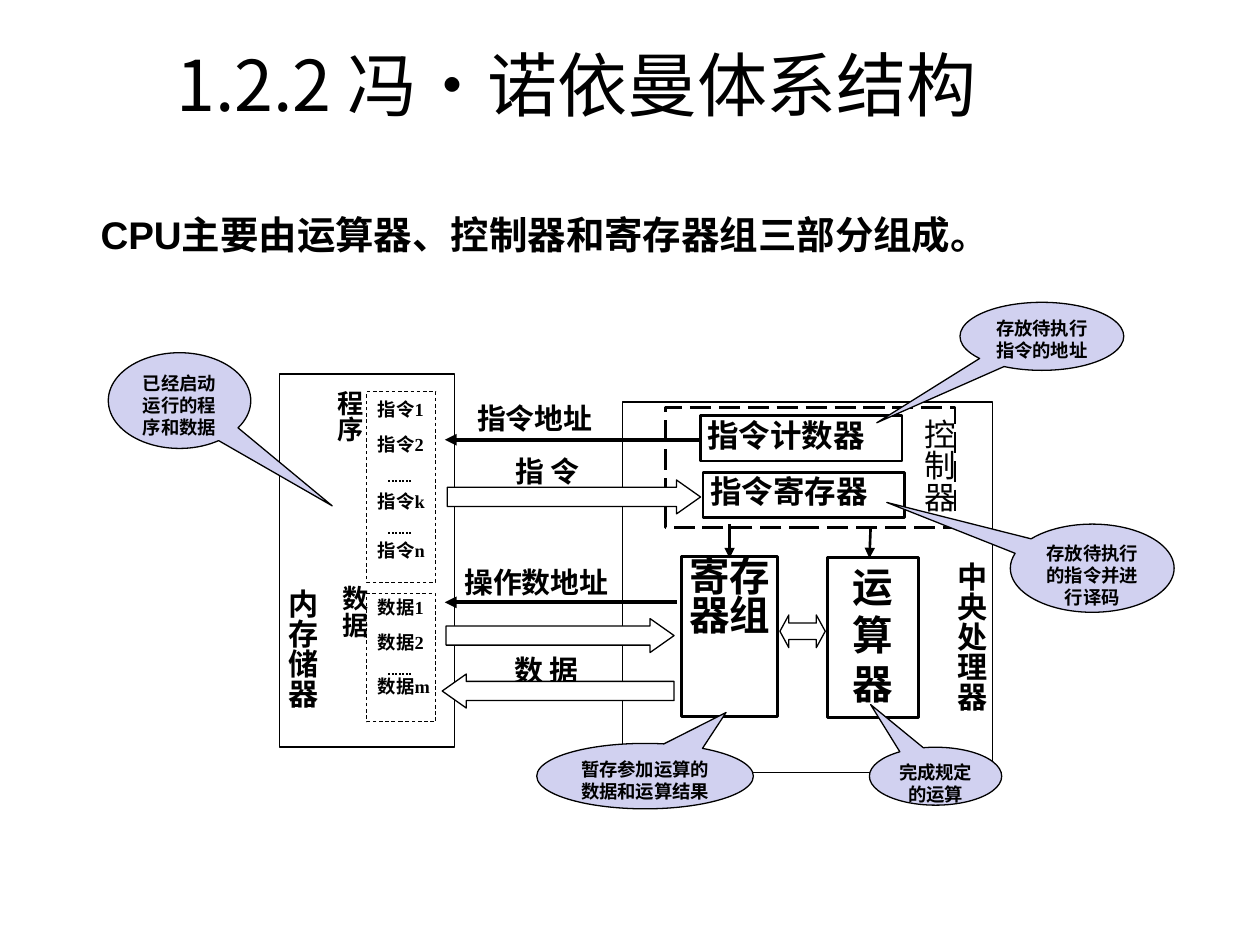
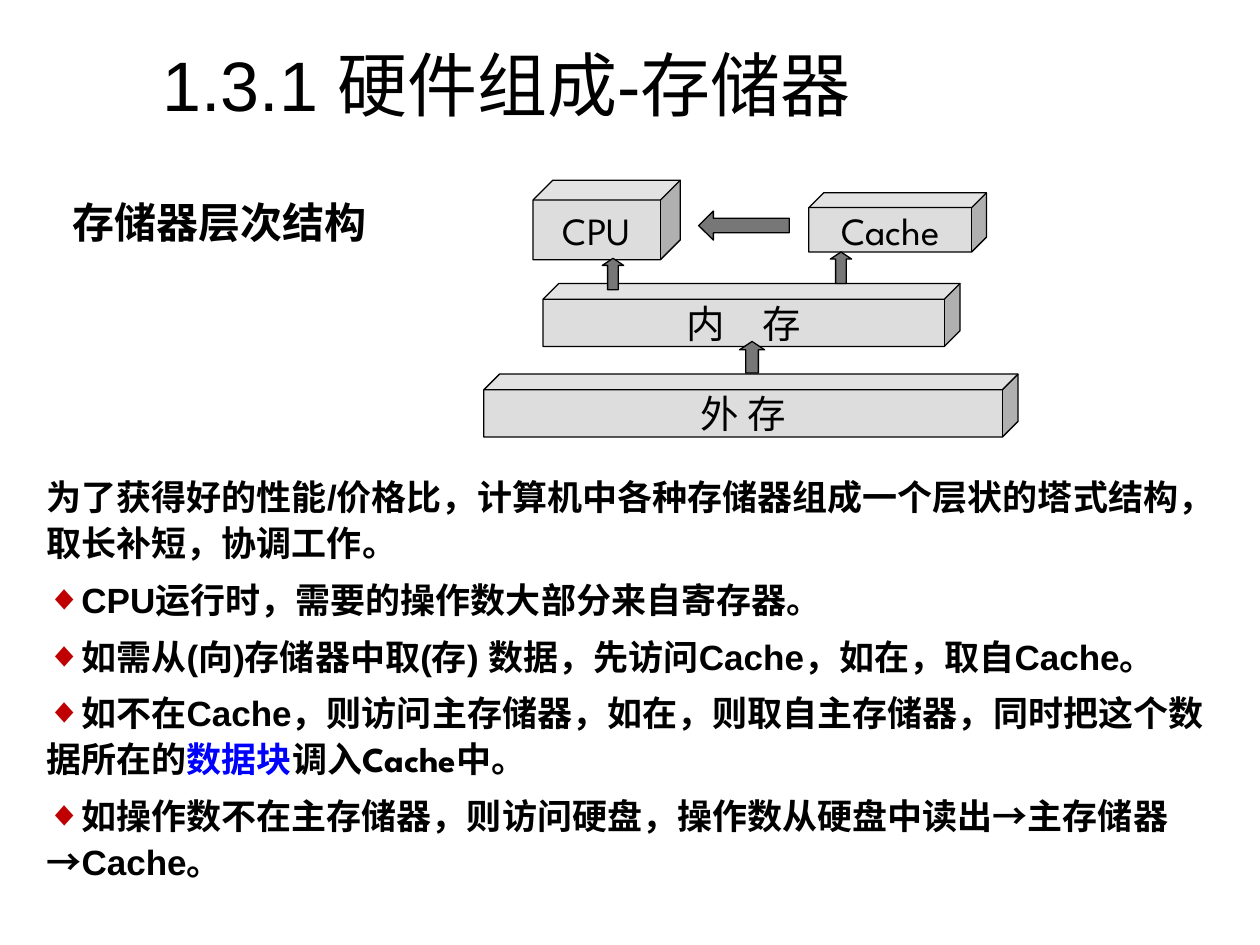
import pptx
import pptx.dml.color
import pptx.enum.dml
import pptx.enum.shapes
import pptx.enum.text
import pptx.oxml.ns
import pptx.util
from lxml import etree

Pt = pptx.util.Pt
SHAPE = pptx.enum.shapes.MSO_SHAPE
DASH = pptx.enum.dml.MSO_LINE
ALIGN = pptx.enum.text.PP_ALIGN
ANCHOR = pptx.enum.text.MSO_ANCHOR
qn = pptx.oxml.ns.qn

BLACK, WHITE, BLUE = "000000", "FFFFFF", "0000FF"
CALLOUT, CUBE, ARROW, BULLET = "D1D1F0", "DDDDDD", "777777", "C00000"
ARIAL, TIMES, SPARTAN, CJK = "Arial", "Times New Roman", "League Spartan", "Noto Sans CJK SC"
BLOCK_ARROW = (0.565, 0.709)


def rgb(color):
    return pptx.dml.color.RGBColor.from_string(color)


def add_run(p, text, size, font=TIMES, bold=True, color=BLACK):
    r = p.add_run()
    r.text = text
    r.font.size = Pt(size)
    r.font.bold = bold
    r.font.color.rgb = rgb(color)
    r.font.name = font
    etree.SubElement(r.font._element, qn("a:ea")).set("typeface", CJK)


def set_frame(tf, margins=(4, 2.2), anchor=ANCHOR.TOP, wrap=True):
    """Set the (side, top and bottom) margins, anchor and wrapping."""
    tf.auto_size = pptx.enum.text.MSO_AUTO_SIZE.NONE
    tf.word_wrap = wrap
    tf.vertical_anchor = anchor
    tf.margin_left = tf.margin_right = Pt(margins[0])
    tf.margin_top = tf.margin_bottom = Pt(margins[1])


def place(sp, box):
    sp.left, sp.top, sp.width, sp.height = [Pt(v) for v in box]


def add_title(slide, text, box, font, align, anchor):
    sp = slide.shapes.title
    place(sp, box)
    set_frame(sp.text_frame, (7.2, 3.6), anchor)
    p = sp.text_frame.paragraphs[0]
    p.alignment = align
    add_run(p, text, 40, font, False)


def add_label(slide, text, box, size, font=TIMES, bold=True, align=ALIGN.LEFT,
              spacing=1.0, vertical=False, margins=(4, 2.2)):
    sp = slide.shapes.add_textbox(*[Pt(v) for v in box])
    tf = sp.text_frame
    set_frame(tf, margins)
    if vertical:
        tf._txBody.bodyPr.set("vert", "eaVert")
    p = tf.paragraphs[0]
    p.alignment = align
    p.line_spacing = spacing
    add_run(p, text, size, font, bold)
    return p


def add_shape(slide, kind, box, fill=WHITE, width=0.75, dash=None, adjust=()):
    sp = slide.shapes.add_shape(kind, *[Pt(v) for v in box])
    sp.shadow.inherit = False
    if fill:
        sp.fill.solid()
        sp.fill.fore_color.rgb = rgb(fill)
    else:
        sp.fill.background()
    sp.line.color.rgb = rgb(BLACK)
    sp.line.width = Pt(width)
    if dash:
        sp.line.dash_style = dash
    for i, value in enumerate(adjust):
        sp.adjustments[i] = value
    return sp


def add_unit(slide, text, box, size, align=ALIGN.CENTER, spacing=1.0, top=2.2):
    """Add a framed component of the processor."""
    sp = add_shape(slide, SHAPE.RECTANGLE, box, WHITE, 1.5)
    set_frame(sp.text_frame, (4, top))
    p = sp.text_frame.paragraphs[0]
    p.alignment = align
    p.line_spacing = spacing
    add_run(p, text, size)


def add_callout(slide, text, box, tip):
    sp = add_shape(slide, SHAPE.OVAL_CALLOUT, box, CALLOUT, adjust=tip)
    set_frame(sp.text_frame, (5, 2.9))
    p = sp.text_frame.paragraphs[0]
    p.alignment = ALIGN.CENTER
    add_run(p, text, 10.5, ARIAL)


def add_cube(slide, text, box):
    sp = add_shape(slide, SHAPE.CUBE, box, CUBE, adjust=(0.25,))
    set_frame(sp.text_frame, (7.2, 3.6), ANCHOR.MIDDLE, False)
    p = sp.text_frame.paragraphs[0]
    p.alignment = ALIGN.CENTER
    add_run(p, text, 22, SPARTAN, False)


def add_line(slide, x1, y1, x2, y2, width, dash=None, arrow=False):
    cx = slide.shapes.add_connector(pptx.enum.shapes.MSO_CONNECTOR.STRAIGHT,
                                    Pt(x1), Pt(y1), Pt(x2), Pt(y2))
    cx.line.color.rgb = rgb(BLACK)
    cx.line.width = Pt(width)
    if dash:
        cx.line.dash_style = dash
    if arrow:
        etree.SubElement(cx.line._get_or_add_ln(), qn("a:tailEnd")).set("type", "triangle")
    etree.SubElement(cx._element.spPr, qn("a:effectLst"))


def set_bullet(p, char=None):
    """Give the paragraph a red bullet, or none."""
    pPr = p._p.get_or_add_pPr()
    pPr.set("marL", "0")
    pPr.set("indent", str(Pt(-35.3) if char else 0))
    if char:
        clr = etree.SubElement(pPr, qn("a:buClr"))
        etree.SubElement(clr, qn("a:srgbClr")).set("val", BULLET)
        etree.SubElement(pPr, qn("a:buChar")).set("char", char)
    else:
        etree.SubElement(pPr, qn("a:buNone"))


def draw_processor(slide):
    add_shape(slide, SHAPE.RECTANGLE, (355.7, 229.7, 211.7, 211.7))
    add_unit(slide, "寄存器组", (389.5, 318.2, 54.9, 91.4), 23.2, spacing=0.8)
    add_unit(slide, "运算器", (473, 318.7, 51.8, 91.4), 23.2)
    add_shape(slide, SHAPE.RECTANGLE, (380.2, 233, 165.6, 68.4), WHITE, 1.5, DASH.LONG_DASH)
    add_label(slide, "中央处理器", (529.2, 319, 38.2, 94.3), 17.2, spacing=0.9, vertical=True)
    add_shape(slide, SHAPE.LEFT_RIGHT_ARROW, (445.7, 351.4, 25.9, 18.7), adjust=(0.5, 0.273))
    add_line(slide, 497.5, 301.7, 496.8, 319, 1.5, arrow=True)
    add_line(slide, 416.9, 299.5, 416.9, 319, 1.5, arrow=True)
    add_unit(slide, "指令计数器", (400.3, 237.6, 115.2, 25.9), 18, ALIGN.LEFT, top=0)
    add_unit(slide, "指令寄存器", (401.8, 270, 115.2, 25.9), 18, ALIGN.LEFT, top=0)
    add_label(slide, "控制器", (502.6, 236.9, 55.4, 62.6), 18, bold=False,
              spacing=1.3, vertical=True)


def draw_memory(slide):
    add_shape(slide, SHAPE.RECTANGLE, (159.8, 213.8, 100.1, 213.1))
    for top, height in ((223.9, 108.7), (339.1, 73.4)):
        add_shape(slide, SHAPE.RECTANGLE, (209.5, top, 39.6, height), None, 0.5, DASH.DASH)
    for text, top in (("指令1", 225.3), ("指令2", 245.5), ("指令k", 277.9), ("指令n", 306),
                      ("数据1", 338.4), ("数据2", 358.6), ("数据m", 383.8)):
        add_label(slide, text, (212, top, 58, 32.4), 10.5)
    for y in (275, 304.6, 385.2):
        add_line(slide, 222, y, 235.8, y, 1, DASH.ROUND_DOT)
    add_label(slide, "程序", (180.7, 221, 33.8, 43.2), 15, spacing=1.1, vertical=True)
    add_label(slide, "数据", (181.4, 332.6, 36, 43.2), 15, spacing=1.1, vertical=True)
    add_label(slide, "内存储器", (152.6, 334.1, 34.6, 95), 17.2, vertical=True)


def draw_transfers(slide):
    """Draw the address lines and the block arrows between memory and processor."""
    add_label(slide, "指令地址", (268.7, 221, 96, 38.2), 16.5, spacing=1.3)
    add_line(slide, 400.3, 251.3, 254.2, 251.3, 2.25, arrow=True)
    add_label(slide, "指 令", (266.4, 251.3, 92.9, 38.2), 16.5, align=ALIGN.CENTER, spacing=1.3)
    add_label(slide, "操作数地址", (261.4, 316.8, 104, 31.7), 16.5, spacing=1.2)
    add_line(slide, 386.6, 344.2, 254.2, 344.2, 2.25, arrow=True)
    add_label(slide, "数 据", (270.7, 360.7, 83.5, 41), 16.5, align=ALIGN.CENTER, spacing=1.5)
    for kind, left, top, width in ((SHAPE.RIGHT_ARROW, 255.6, 274.3, 144.7),
                                   (SHAPE.RIGHT_ARROW, 254.9, 353.5, 130.3),
                                   (SHAPE.LEFT_ARROW, 252.7, 385.2, 132.5)):
        add_shape(slide, kind, (left, top, width, 19.4), adjust=BLOCK_ARROW)


def build_architecture(prs):
    slide = prs.slides.add_slide(prs.slide_layouts[5])
    add_title(slide, "1.2.2 冯·诺依曼体系结构", (93.6, 20.2, 490, 55.4), CJK,
              ALIGN.LEFT, ANCHOR.TOP)
    p = add_label(slide, "CPU主要由运算器、控制器和寄存器组三部分组成。",
                  (23, 103.7, 663, 41.8), 22, ARIAL, spacing=1.5, margins=(7.2, 3.6))
    p._p.get_or_add_pPr().set("indent", str(Pt(27.4)))
    draw_processor(slide)
    draw_memory(slide)
    draw_transfers(slide)
    for text, box, tip in (
            ("已经启动运行的程序和数据", (61.9, 201.6, 81.4, 54.7), (1.072, 1.099)),
            ("存放待执行指令的地址", (548.6, 172.8, 93.6, 38.9), (-1.008, 1.269)),
            ("存放待执行的指令并进行译码", (577.4, 299.5, 93.6, 50.4), (-1.255, -0.746)),
            ("暂存参加运算的数据和运算结果", (306.7, 424.8, 123.8, 37.4), (0.374, -0.973)),
            ("完成规定的运算", (496.8, 427, 75.6, 33.1), (-0.491, -1.237))):
        add_callout(slide, text, box, tip)


def draw_hierarchy(slide):
    for text, box in (("内　存", (310.3, 162, 238.3, 36)),
                      ("CPU", (304.6, 103, 84.2, 45.4)),
                      ("Cache", (462.2, 110.2, 101.5, 33.8)),
                      ("外 存", (276.5, 213.8, 305.3, 36))):
        add_cube(slide, text, box)
    for left, top, width in ((344.2, 147.6, 12.2), (474.5, 144, 12.2), (422.6, 195.1, 14.4)):
        add_shape(slide, SHAPE.UP_ARROW, (left, top, width, 18), ARROW, adjust=(0.5, 0.333))
    add_shape(slide, SHAPE.LEFT_ARROW, (399.2, 120.6, 51.8, 16.6), ARROW, adjust=(0.5, 0.509))


def build_memory_levels(prs):
    slide = prs.slides.add_slide(prs.slide_layouts[1])
    add_title(slide, "1.3.1 硬件组成-存储器", (76.3, 18, 426.2, 59.8), ARIAL,
              ALIGN.CENTER, ANCHOR.MIDDLE)
    add_label(slide, "存储器层次结构", (25.3, 109.8, 200, 44), 24, ARIAL, align=ALIGN.CENTER)
    body = slide.placeholders[1]
    place(body, (19.4, 265.7, 691.9, 254.9))
    tf = body.text_frame
    set_frame(tf, (7.2, 3.6))
    paragraphs = (
        [("为了获得好的性能/价格比，计算机中各种存储器组成一个层状的塔式结构，取长补短，协调工作。",)],
        [("CPU运行时，需要的操作数大部分来自寄存器。",)],
        [("如需从(向)存储器中取(存) 数据，先访问Cache，如在，取自Cache。",)],
        [("如不在Cache，则访问主存储器，如在，则取自主存储器，",),
         ("同时把这个数据所在的", SPARTAN), ("数据块", SPARTAN, True, BLUE),
         ("调入Cache中", SPARTAN), ("。",)],
        [("如操作数不在主存储器，则访问硬盘，操作数从硬盘中读出→主存储器→Cache。",)])
    for i, runs in enumerate(paragraphs):
        p = tf.add_paragraph() if i else tf.paragraphs[0]
        p.line_spacing = 1.1
        p.space_before = Pt(6 if i else 0)
        set_bullet(p, "◆" if i else None)
        for text, *style in runs:
            add_run(p, text, 20, *(style or [ARIAL]))
    draw_hierarchy(slide)


def main():
    prs = pptx.Presentation()
    prs.slide_width, prs.slide_height = Pt(720), Pt(540)
    build_architecture(prs)
    build_memory_levels(prs)
    prs.save("out.pptx")


if __name__ == "__main__":
    main()
